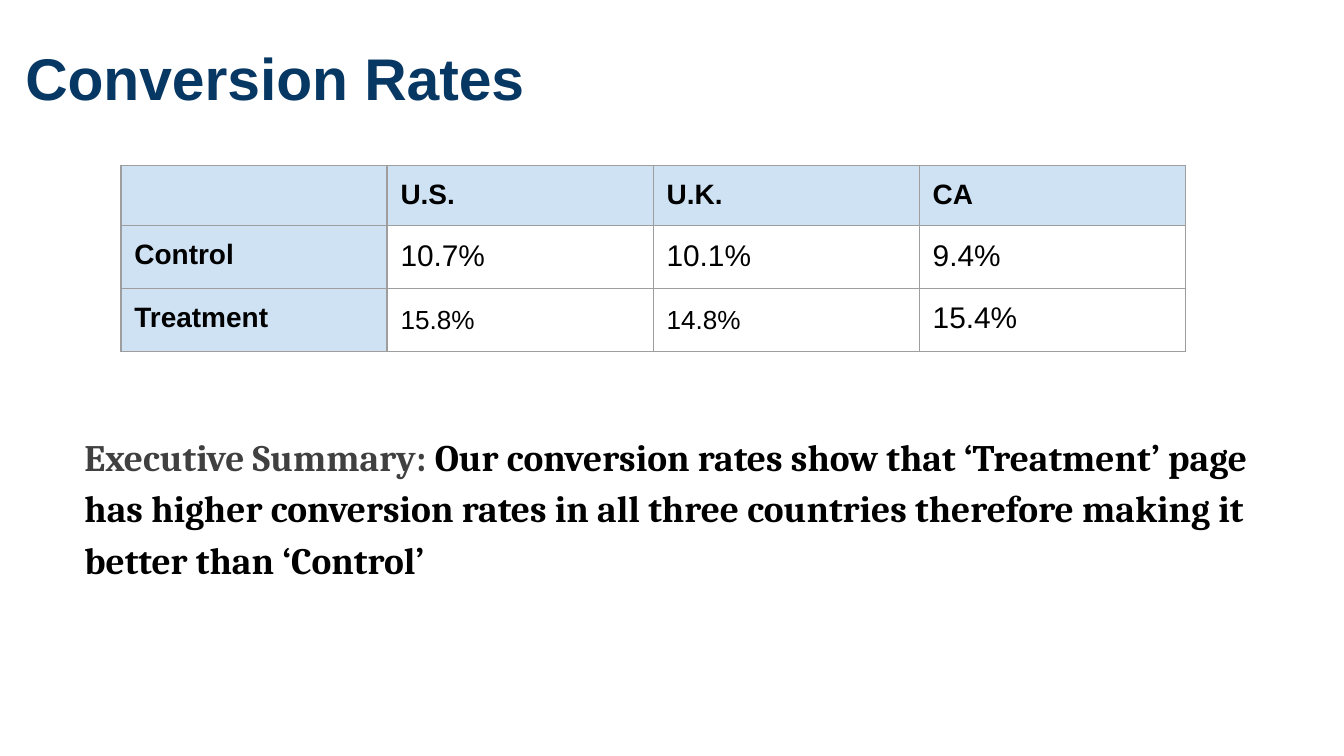
from dataclasses import dataclass

from lxml.etree import SubElement
from pptx import Presentation
from pptx.dml.color import RGBColor as Color
from pptx.enum.text import MSO_ANCHOR as Anchor, MSO_AUTO_SIZE as AutoSize
from pptx.oxml.ns import qn
from pptx.util import Inches, Pt


@dataclass(frozen=True)
class Theme:
    sans: str = "Arial"
    serif: str = "Cambria"
    navy: str = "073763"
    black: str = "000000"
    gray: str = "404040"
    white: str = "FFFFFF"
    header_fill: str = "CFE2F3"
    border: str = "9E9E9E"
    border_width: float = 0.75
    title_size: float = 31.5
    summary_size: float = 20
    header_size: float = 15
    value_size: float = 16
    small_size: float = 14
    inset: float = 0.1


class SlideBuilder:
    def __init__(self, page, theme):
        self.page = page
        self.theme = theme

    def add_run(self, para, text, font, size, color, bold=True):
        span = para.add_run()
        span.text = text
        span.font.name = font
        span.font.size = Pt(size)
        span.font.bold = bold
        span.font.color.rgb = Color.from_string(color)

    def set_insets(self, holder):
        for side in ("left", "top", "right", "bottom"):
            setattr(holder, f"margin_{side}", Inches(self.theme.inset))

    def add_text(self, area, runs, font, size, line_spacing=None):
        box = self.page.shapes.add_textbox(*map(Inches, area))
        frame = box.text_frame
        frame.word_wrap = True
        frame.auto_size = AutoSize.SHAPE_TO_FIT_TEXT
        self.set_insets(frame)
        para = frame.paragraphs[0]
        para.line_spacing = line_spacing
        for text, color in runs:
            self.add_run(para, text, font, size, color)

    def add_borders(self, cell):
        properties = cell._tc.get_or_add_tcPr()
        for index, side in enumerate(("lnL", "lnR", "lnT", "lnB")):
            line = properties.makeelement(qn(f"a:{side}"), {"w": str(Pt(self.theme.border_width))})
            fill = SubElement(line, qn("a:solidFill"))
            SubElement(fill, qn("a:srgbClr"), val=self.theme.border)
            properties.insert(index, line)

    def fill_cell(self, cell, text, header, small):
        theme = self.theme
        cell.fill.solid()
        cell.fill.fore_color.rgb = Color.from_string(theme.header_fill if header else theme.white)
        self.add_borders(cell)
        if not text:
            return
        if small:
            cell.vertical_anchor = Anchor.MIDDLE
            size = theme.small_size
        else:
            self.set_insets(cell)
            size = theme.header_size if header else theme.value_size
        self.add_run(cell.text_frame.paragraphs[0], text, theme.sans, size, theme.black, header)

    def add_table(self, area, rows, row_heights, small_cells):
        frame = self.page.shapes.add_table(len(rows), len(rows[0]), *map(Inches, area))
        table = frame.table
        for row, height in zip(table.rows, row_heights):
            row.height = Inches(height)
        for r, values in enumerate(rows):
            for c, text in enumerate(values):
                self.fill_cell(table.cell(r, c), text, r == 0 or c == 0, (r, c) in small_cells)


def main():
    theme = Theme()
    deck = Presentation()
    deck.slide_width = Inches(10)
    deck.slide_height = deck.slide_width * 9 // 16
    builder = SlideBuilder(deck.slides.add_slide(deck.slide_layouts[6]), theme)

    builder.add_text((0.09, 0.21, 10, 0.73), [("Conversion Rates", theme.navy)],
                     theme.sans, theme.title_size)
    rates = [
        ("", "U.S.", "U.K.", "CA"),
        ("Control", "10.7%", "10.1%", "9.4%"),
        ("Treatment", "15.8%", "14.8%", "15.4%"),
    ]
    builder.add_table((0.9, 1.23, 7.92, 1.38), rates, (0.45, 0.46, 0.46), {(2, 1), (2, 2)})
    summary = [
        ("Executive Summary: ", theme.gray),
        ("Our conversion rates show that ‘Treatment’ page has higher conversion rates in all "
         "three countries therefore making it better than ‘Control’", theme.black),
    ]
    builder.add_text((0.53, 3.08, 8.98, 1.36), summary, theme.serif, theme.summary_size, 1.15)

    deck.save("out.pptx")


if __name__ == "__main__":
    main()
